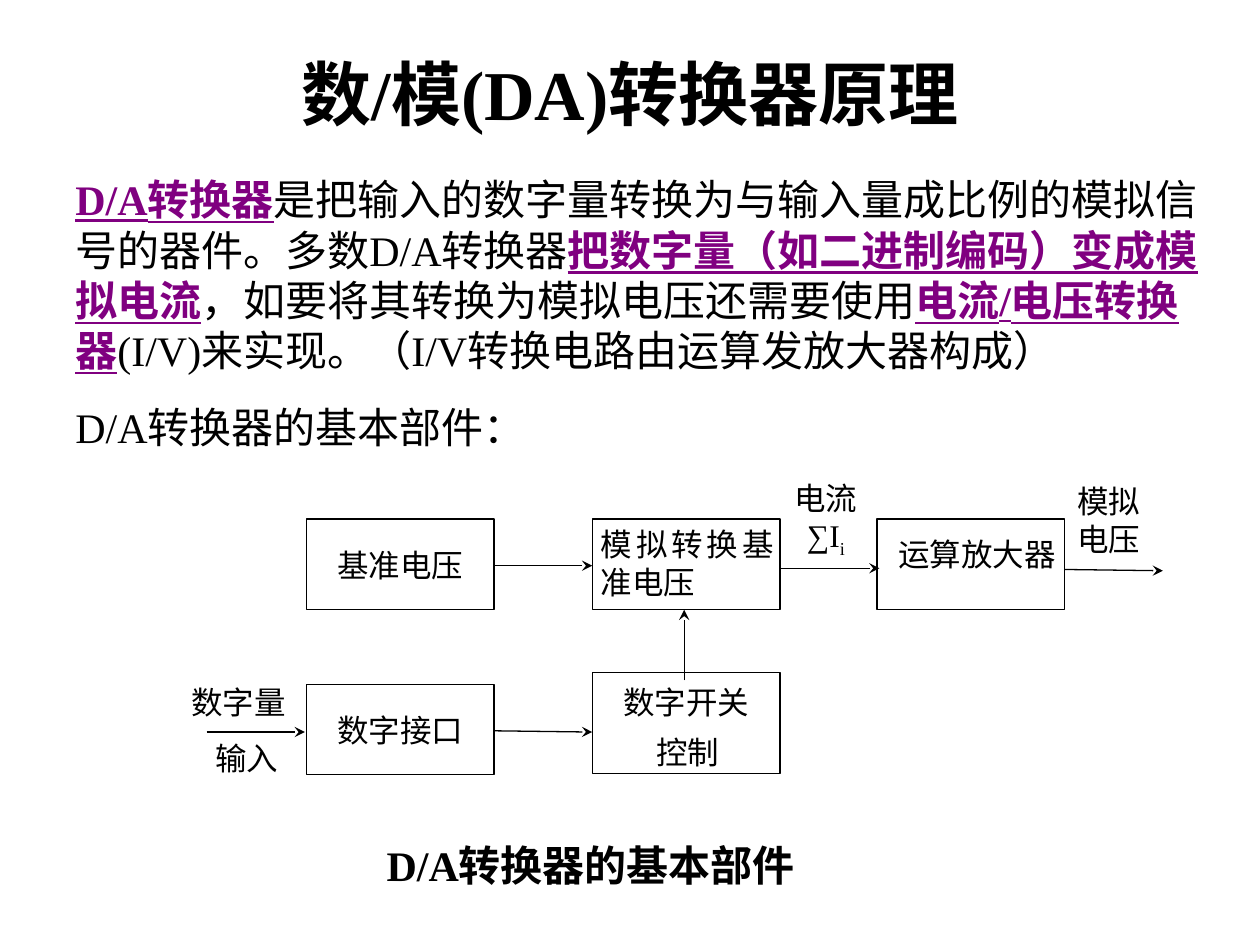
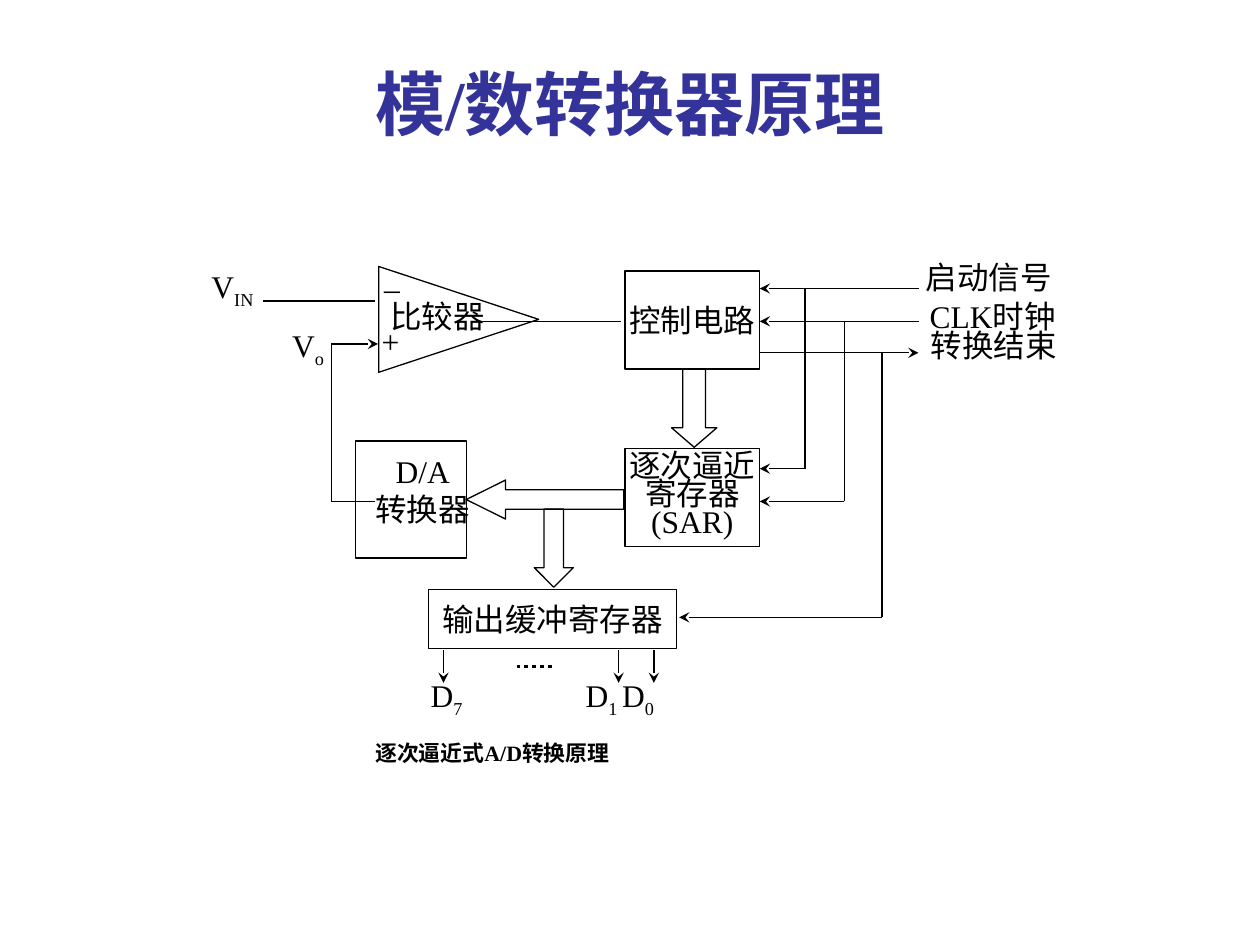
from lxml.etree import SubElement
from pptx import Presentation
from pptx.dml.color import RGBColor
from pptx.enum.dml import MSO_LINE
from pptx.enum.shapes import MSO_CONNECTOR, MSO_SHAPE
from pptx.enum.text import MSO_ANCHOR, MSO_AUTO_SIZE, PP_ALIGN
from pptx.oxml.ns import qn
from pptx.util import Inches, Pt

COLORS = {"ink": "000000", "accent": "800080", "title": "333399"}
FONT = "Times New Roman"
LABEL_SIZE = 18

# Slide 1: explanation; True marks the emphasised phrases
DA_TITLE = "数/模(DA)转换器原理"
DA_BODY = [
    [("D/A转换器", True),
     ("是把输入的数字量转换为与输入量成比例的模拟信号的器件。多数D/A转换器", False),
     ("把数字量（如二进制编码）变成模拟电流", True),
     ("，如要将其转换为模拟电压还需要使用", False),
     ("电流/电压转换器", True),
     ("(I/V)来实现。（I/V转换电路由运算发放大器构成）", False)],
    [("D/A转换器的基本部件：", False)],
]
DA_CAPTION = "D/A转换器的基本部件"

# Blocks: left, top, width, height, lines of text
BLOCK_W, BLOCK_H = 1.49, 0.72
DA_BLOCKS = [
    (2.43, 4.12, BLOCK_W, BLOCK_H, ["基准电压"]),
    (4.7, 4.12, BLOCK_W, BLOCK_H, []),
    (6.96, 4.12, BLOCK_W, BLOCK_H, []),
    (2.43, 5.43, BLOCK_W, BLOCK_H, ["数字接口"]),
    (4.7, 5.34, BLOCK_W, 0.8, []),
]
# Wires: points, arrow at the last point or not
DA_WIRES = [
    ([(3.92, 4.49), (4.7, 4.49)], True),
    ([(6.2, 4.51), (6.98, 4.51)], True),
    ([(8.45, 4.52), (9.23, 4.53)], True),
    ([(1.64, 5.81), (2.42, 5.81)], True),
    ([(3.92, 5.8), (4.7, 5.81)], True),
    ([(5.43, 5.4), (5.43, 4.84)], True),
]
# Labels: left, top, width, height, lines, centred; a tuple is (text, subscript)
DA_LABELS = [
    (4.67, 4.12, 1.57, 0.94, ["模拟转换基准电压"], False),
    (7.03, 4.2, 1.83, 0.94, ["运算放大器"], False),
    (5.9, 3.75, 1.31, 0.8, ["电流", ("∑I", "i")], True),
    (8.45, 3.78, 1.05, 0.8, ["模拟", "电压"], False),
    (4.85, 5.37, 1.57, 0.5, ["数字开关"], False),
    (5.11, 5.77, 1.03, 0.5, ["控制"], False),
    (1.42, 5.37, 1.31, 0.5, ["数字量"], False),
    (1.61, 5.82, 1.05, 0.5, ["输入"], False),
]

# Slide 2: successive approximation converter
AD_TITLE = "模/数转换器原理"
AD_CAPTION = "逐次逼近式A/D转换原理"
START_Y, CLOCK_Y, END_Y = 2.29, 2.55, 2.8
START_X, CLOCK_X, END_X = 6.39, 6.7, 7
CONTROL_RIGHT, SIGNAL_X = 6.03, 7.29
AD_BLOCKS = [
    (4.96, 2.15, 1.07, 0.78, ["控制电路"]),
    (4.96, 3.56, 1.07, 0.78, ["逐次逼近", "寄存器", "(SAR)"]),
    (2.82, 3.5, 0.88, 0.93, []),
    (3.4, 4.68, 1.97, 0.47, ["输出缓冲寄存器"]),
]
# Bus arrows: shape, left, top, width, height, head length
AD_BUSES = [
    (MSO_SHAPE.DOWN_ARROW, 5.33, 2.93, 0.36, 0.62, 0.43),
    (MSO_SHAPE.LEFT_ARROW, 3.7, 3.81, 1.25, 0.31, 1.01),
    (MSO_SHAPE.DOWN_ARROW, 4.24, 4.04, 0.31, 0.62, 0.5),
]
AD_WIRES = [
    ([(2.09, 2.39), (2.98, 2.39)], False),
    ([(3.83, 2.55), (4.93, 2.55)], False),
    ([(2.98, 3.98), (2.63, 3.98), (2.63, 2.73), (3, 2.73)], True),
    ([(SIGNAL_X, START_Y), (CONTROL_RIGHT, START_Y)], True),
    ([(SIGNAL_X, CLOCK_Y), (CONTROL_RIGHT, CLOCK_Y)], True),
    ([(CONTROL_RIGHT, END_Y), (SIGNAL_X, END_Y)], True),
    ([(START_X, START_Y), (START_X, 3.72), (CONTROL_RIGHT, 3.72)], True),
    ([(CLOCK_X, CLOCK_Y), (CLOCK_X, 3.98), (CONTROL_RIGHT, 3.98)], True),
    ([(END_X, END_Y), (END_X, 4.9), (5.39, 4.9)], True),
] + [([(x, 5.16), (x, 5.42)], True) for x in (3.52, 4.91, 5.19)]
AD_LABELS = [
    (1.58, 2.07, 0.94, 0.5, [("V", "IN")], False),
    (2.22, 2.54, 0.94, 0.5, [("V", "o")], False),
    (2.95, 2, 0.7, 0.5, ["_"], False),
    (2.93, 2.51, 0.7, 0.5, ["+"], False),
    (3, 2.31, 1.41, 0.55, ["比较器"], False),
    (2.77, 3.54, 1.17, 0.91, ["D/A", "转换器"], True),
    (7.25, 2, 1.66, 0.5, ["启动信号"], False),
    (7.28, 2.31, 1.47, 0.5, ["CLK时钟"], False),
    (7.29, 2.54, 1.38, 0.5, ["转换结束"], False),
] + [(x, 5.32, 0.7, 0.5, [("D", bit)], False)
     for x, bit in ((3.32, "7"), (4.55, "1"), (4.84, "0"))]


def rgb(name):
    return RGBColor.from_string(COLORS[name])


def style(font, size, color="ink", bold=False, underline=False):
    font.name, font.size = FONT, Pt(size)
    font.color.rgb = rgb(color)
    font.bold, font.underline = bold, underline


def add_title(slide, text, height, color):
    title = slide.shapes.title
    title.left, title.top = Inches(0.5), Inches(0.3)
    title.width, title.height = Inches(9), Inches(height)
    frame = title.text_frame
    frame.text = text
    frame.auto_size = MSO_AUTO_SIZE.NONE
    frame.vertical_anchor = MSO_ANCHOR.MIDDLE
    frame.paragraphs[0].alignment = PP_ALIGN.CENTER
    style(frame.paragraphs[0].runs[0].font, 40, color, bold=True)


def add_frame(slide, left, top, width, height):
    box = slide.shapes.add_textbox(*map(Inches, (left, top, width, height)))
    box.text_frame.word_wrap = True
    return box.text_frame


def paragraphs_for(frame, items):
    """Pair each item with its own paragraph of the frame."""
    for i, item in enumerate(items):
        yield frame.add_paragraph() if i else frame.paragraphs[0], item


def add_label(slide, left, top, width, height, lines, centred,
              size=LABEL_SIZE, bold=False):
    frame = add_frame(slide, left, top, width, height)
    for paragraph, line in paragraphs_for(frame, lines):
        paragraph.alignment = PP_ALIGN.CENTER if centred else PP_ALIGN.JUSTIFY
        base, subscript = line if isinstance(line, tuple) else (line, "")
        paragraph.text = base
        if subscript:
            sub_run = paragraph.add_run()
            sub_run.text = subscript
            sub_run._r.get_or_add_rPr().set("baseline", "-25000")
        for run in paragraph.runs:
            style(run.font, size, bold=bold)


def add_outline(slide, kind, left, top, width, height):
    outline = slide.shapes.add_shape(
        kind, *map(Inches, (left, top, width, height)))
    outline.shadow.inherit = False
    outline.fill.background()
    outline.line.color.rgb = rgb("ink")
    outline.line.width = Pt(0.75)
    return outline


def add_block(slide, left, top, width, height, lines):
    block = add_outline(slide, MSO_SHAPE.RECTANGLE, left, top, width, height)
    frame = block.text_frame
    frame.margin_left = frame.margin_right = 0
    frame.margin_top = frame.margin_bottom = 0
    frame.vertical_anchor = MSO_ANCHOR.MIDDLE
    for paragraph, line in paragraphs_for(frame, lines):
        paragraph.text = line
        paragraph.alignment = PP_ALIGN.CENTER
        if len(lines) > 1:
            paragraph.line_spacing = Pt(16)
        style(paragraph.runs[0].font, LABEL_SIZE)


def add_line(slide, start, end, width=0.75):
    line = slide.shapes.add_connector(
        MSO_CONNECTOR.STRAIGHT, *map(Inches, (*start, *end)))
    line.line.color.rgb = rgb("ink")
    line.line.width = Pt(width)
    SubElement(line._element.spPr, qn("a:effectLst"))
    return line


def add_wire(slide, points, arrow):
    for start, end in zip(points, points[1:]):
        segment = add_line(slide, start, end)
    if arrow:
        SubElement(segment.line._get_or_add_ln(), qn("a:tailEnd"), type="stealth")


def add_diagram(slide, blocks, wires, labels):
    for block in blocks:
        add_block(slide, *block)
    for wire in wires:
        add_wire(slide, *wire)
    for label in labels:
        add_label(slide, *label)


def build_da(slide):
    add_title(slide, DA_TITLE, 0.87, "ink")
    add_diagram(slide, DA_BLOCKS, DA_WIRES, DA_LABELS)
    add_label(slide, 2.97, 6.61, 5.03, 0.5, [DA_CAPTION], False, 24, True)

    # Explanation
    body = add_frame(slide, 0.5, 1.33, 9.17, 2.31)
    for paragraph, phrases in paragraphs_for(body, DA_BODY):
        if phrases is not DA_BODY[0]:
            paragraph.space_before = Pt(15)
        for text, key in phrases:
            run = paragraph.add_run()
            run.text = text
            style(run.font, 24, "accent" if key else "ink", key, key)


def build_ad(slide):
    add_title(slide, AD_TITLE, 1.03, "title")

    # Comparator and buses
    comparator = add_outline(slide, MSO_SHAPE.ISOSCELES_TRIANGLE,
                             3.22, 1.9, 0.84, 1.27)
    comparator.rotation = 90
    for kind, left, top, width, height, head in AD_BUSES:
        bus = add_outline(slide, kind, left, top, width, height)
        bus.adjustments[0], bus.adjustments[1] = 0.5, head

    add_diagram(slide, AD_BLOCKS, AD_WIRES, AD_LABELS)
    omitted_bits = add_line(slide, (4.1, 5.29), (4.39, 5.29), 2.25)
    omitted_bits.line.dash_style = MSO_LINE.ROUND_DOT
    add_label(slide, 2.88, 5.82, 4.68, 0.4, [AD_CAPTION], False, 12.5, True)


def main():
    deck = Presentation()
    deck.slide_width, deck.slide_height = Inches(10), Inches(7.5)
    title_only = deck.slide_layouts[5]
    for build in (build_da, build_ad):
        build(deck.slides.add_slide(title_only))
    deck.save("out.pptx")


if __name__ == "__main__":
    main()
